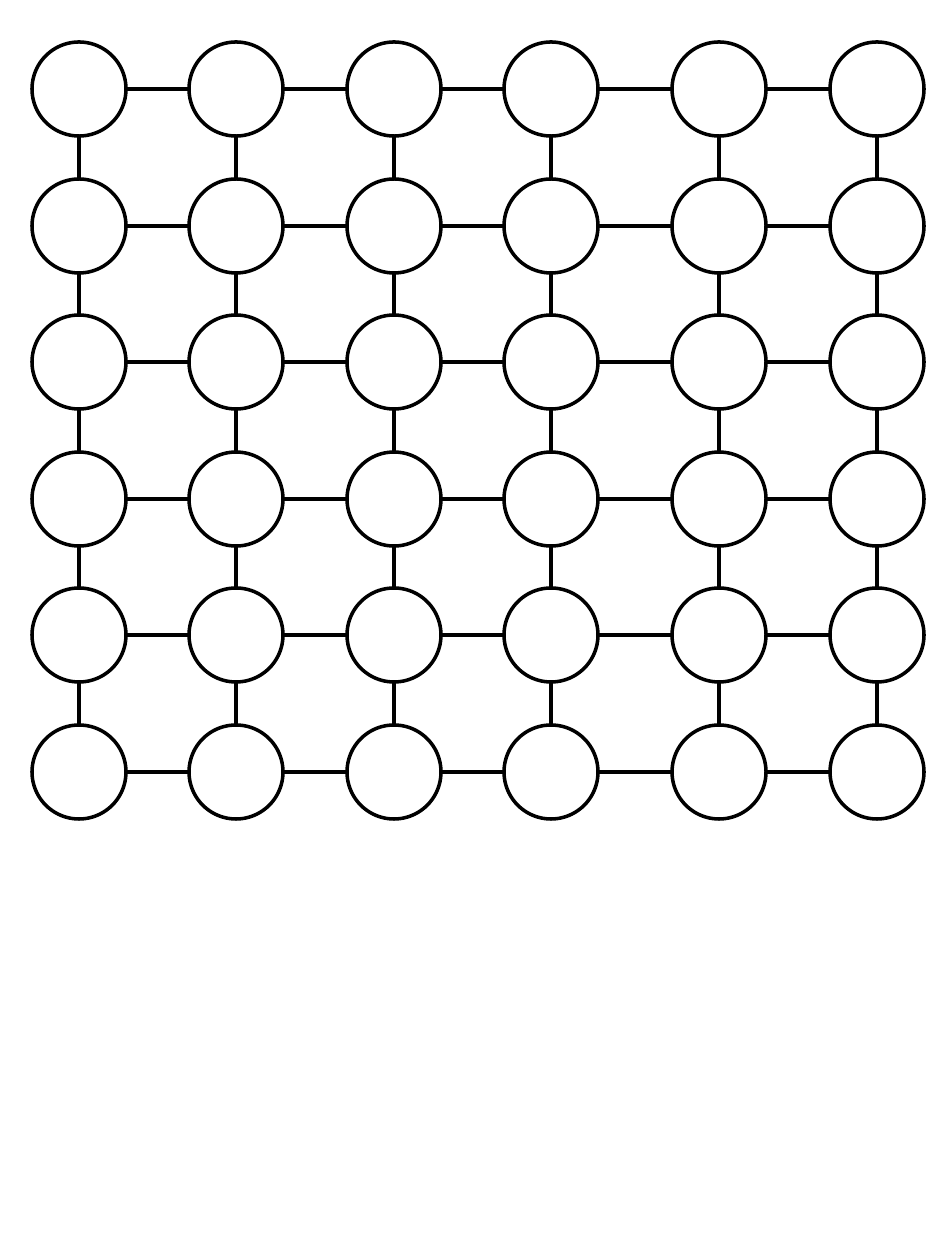
from pptx import Presentation
from pptx.dml.color import RGBColor
from pptx.enum.shapes import MSO_CONNECTOR, MSO_SHAPE
from pptx.oxml.ns import qn
from pptx.util import Emu, Pt
from lxml import etree

ELLIPSE = MSO_SHAPE.OVAL
STRAIGHT = MSO_CONNECTOR.STRAIGHT

COLUMN_CENTERS = [79, 236, 394, 551, 719, 877]
ROW_CENTERS = [89, 226, 362, 499, 635, 772]
RADIUS = 47
SLIDE_SIZE = (945, 1260)
COLORS = {"outline": "000000"}
LINE_WIDTH = Pt(2)
EMU_PER_PIXEL = 914400 / 126


def px(pixels):
    """Convert pixels to EMU."""
    return Emu(round(pixels * EMU_PER_PIXEL))


def style_line(line):
    """Apply the grid's line color and width."""
    line.color.rgb = RGBColor.from_string(COLORS["outline"])
    line.width = LINE_WIDTH


def add_node(slide, x, y):
    """Draw an unfilled circle centered on x, y."""
    node = slide.shapes.add_shape(
        ELLIPSE, px(x - RADIUS), px(y - RADIUS), px(2 * RADIUS), px(2 * RADIUS))
    node.shadow.inherit = False
    node.fill.background()
    style_line(node.line)


def add_edge(slide, x1, y1, x2, y2):
    """Draw a straight line between two points."""
    edge = slide.shapes.add_connector(STRAIGHT, px(x1), px(y1), px(x2), px(y2))
    style_line(edge.line)
    etree.SubElement(edge._element.spPr, qn("a:effectLst"))


presentation = Presentation()
presentation.slide_width, presentation.slide_height = map(px, SLIDE_SIZE)
slide = presentation.slides.add_slide(presentation.slide_layouts[6])

for y in ROW_CENTERS:
    for x in COLUMN_CENTERS:
        add_node(slide, x, y)
    for left, right in zip(COLUMN_CENTERS, COLUMN_CENTERS[1:]):
        add_edge(slide, left + RADIUS, y, right - RADIUS, y)

for upper, lower in zip(ROW_CENTERS, ROW_CENTERS[1:]):
    for x in COLUMN_CENTERS:
        add_edge(slide, x, upper + RADIUS, x, lower - RADIUS)

presentation.save("out.pptx")
